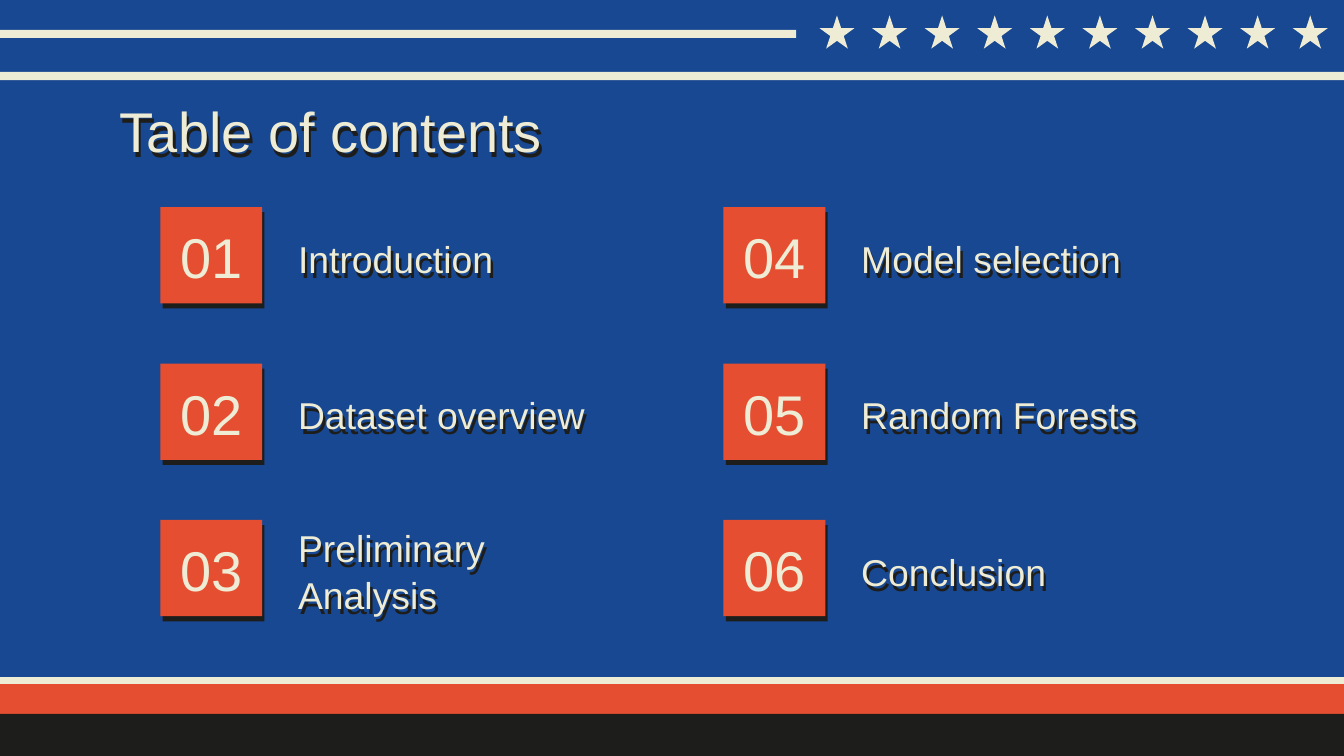
import dataclasses

import lxml.etree
import pptx
import pptx.dml.color
import pptx.enum.shapes
import pptx.enum.text
import pptx.oxml.ns
import pptx.util

Pt = pptx.util.Pt
Shapes = pptx.enum.shapes.MSO_SHAPE
Anchor = pptx.enum.text.MSO_ANCHOR
Align = pptx.enum.text.PP_ALIGN
qn = pptx.oxml.ns.qn

BLUE, RED, BLACK, CREAM = "184891", "E64E31", "1D1D1B", "EEECD5"
FONT = "Arial"
INSET = 7.2


@dataclasses.dataclass(frozen=True)
class Area:
    left: float
    top: float
    width: float
    height: float

    def lengths(self):
        return [Pt(value) for value in dataclasses.astuple(self)]


@dataclasses.dataclass(frozen=True)
class Band:
    area: Area
    color: str


@dataclasses.dataclass(frozen=True)
class TextStyle:
    size: float
    anchor: Anchor
    align: Align = Align.LEFT
    top_inset: float = INSET
    line_spacing: float = 1.0


TITLE = TextStyle(30, Anchor.TOP, top_inset=10.5)
NUMBER = TextStyle(30, Anchor.BOTTOM, Align.CENTER)
TOPIC = TextStyle(20, Anchor.MIDDLE, top_inset=9.5, line_spacing=1.05)

BANDS = [
    Band(Area(0, 364.5, 720, 18), RED),
    Band(Area(0, 382.5, 720, 22.5), BLACK),
    Band(Area(0, 362.7, 720, 3.7), CREAM),
    Band(Area(0, 16, 426.5, 4.4), CREAM),
    Band(Area(0, 38.5, 720, 4.4), CREAM),
]
STAR_COUNT, STAR_PITCH = 10, 28.17
FIRST_STAR = Area(439, 8.3, 18.8, 17.8)

TOPICS = ["Introduction", "Dataset overview", "Preliminary Analysis",
          "Model selection", "Random Forests", "Conclusion"]
ROWS = 3
GRID_LEFT, GRID_TOP = 85.9, 111
COLUMN_PITCH, ROW_PITCH = 301.7, 83.8
NUMBER_WIDTH, TOPIC_WIDTH, ITEM_HEIGHT = 54.6, 180, 51.6
TOPIC_OFFSET = 66.7


def rgb(color: str) -> pptx.dml.color.RGBColor:
    return pptx.dml.color.RGBColor.from_string(color)


def draw_shape(page, kind: Shapes, area: Area, color: str):
    shape = page.shapes.add_shape(kind, *area.lengths())
    shape.shadow.inherit = False
    shape.fill.solid()
    shape.fill.fore_color.rgb = rgb(color)
    shape.line.fill.background()
    return shape


def cast_shadow(shape) -> None:
    """Hard shadow, 3 pt away at 65 degrees."""
    shape.shadow.inherit = False
    effects = shape._element.spPr.find(qn("a:effectLst"))
    shadow = lxml.etree.SubElement(
        effects, qn("a:outerShdw"), blurRad="0", dist=str(Pt(3)),
        dir=str(65 * 60000), algn="bl", rotWithShape="0")
    lxml.etree.SubElement(shadow, qn("a:srgbClr"), val=BLACK)


def write(shape, text: str, style: TextStyle) -> None:
    frame = shape.text_frame
    frame.word_wrap = True
    frame.vertical_anchor = style.anchor
    frame.margin_left = frame.margin_right = frame.margin_bottom = Pt(INSET)
    frame.margin_top = Pt(style.top_inset)
    frame.text = text
    para = frame.paragraphs[0]
    para.alignment = style.align
    para.line_spacing = style.line_spacing
    span = para.runs[0]
    span.font.name = FONT
    span.font.size = Pt(style.size)
    span.font.color.rgb = rgb(CREAM)


def draw_text(page, area: Area, text: str, style: TextStyle) -> None:
    box = page.shapes.add_textbox(*area.lengths())
    write(box, text, style)
    cast_shadow(box)


def draw_item(page, index: int, topic: str) -> None:
    column, row = divmod(index, ROWS)
    left = GRID_LEFT + column * COLUMN_PITCH
    top = GRID_TOP + row * ROW_PITCH
    tile = draw_shape(page, Shapes.RECTANGLE,
                      Area(left, top, NUMBER_WIDTH, ITEM_HEIGHT), RED)
    write(tile, f"{index + 1:02}", NUMBER)
    cast_shadow(tile)
    draw_text(page, Area(left + TOPIC_OFFSET, top, TOPIC_WIDTH, ITEM_HEIGHT),
              topic, TOPIC)


def main() -> None:
    deck = pptx.Presentation()
    deck.slide_width, deck.slide_height = Pt(720), Pt(405)
    page = deck.slides.add_slide(deck.slide_layouts[6])
    page.background.fill.solid()
    page.background.fill.fore_color.rgb = rgb(BLUE)

    # Stripes and stars
    for band in BANDS:
        draw_shape(page, Shapes.RECTANGLE, band.area, band.color)
    for index in range(STAR_COUNT):
        left = FIRST_STAR.left + index * STAR_PITCH
        draw_shape(page, Shapes.STAR_5_POINT,
                   dataclasses.replace(FIRST_STAR, left=left), CREAM)

    # Title
    draw_text(page, Area(56.7, 41, 607, 45.4), "Table of contents", TITLE)

    # Numbered topics, column by column
    for index, topic in enumerate(TOPICS):
        draw_item(page, index, topic)

    deck.save("out.pptx")


if __name__ == "__main__":
    main()
